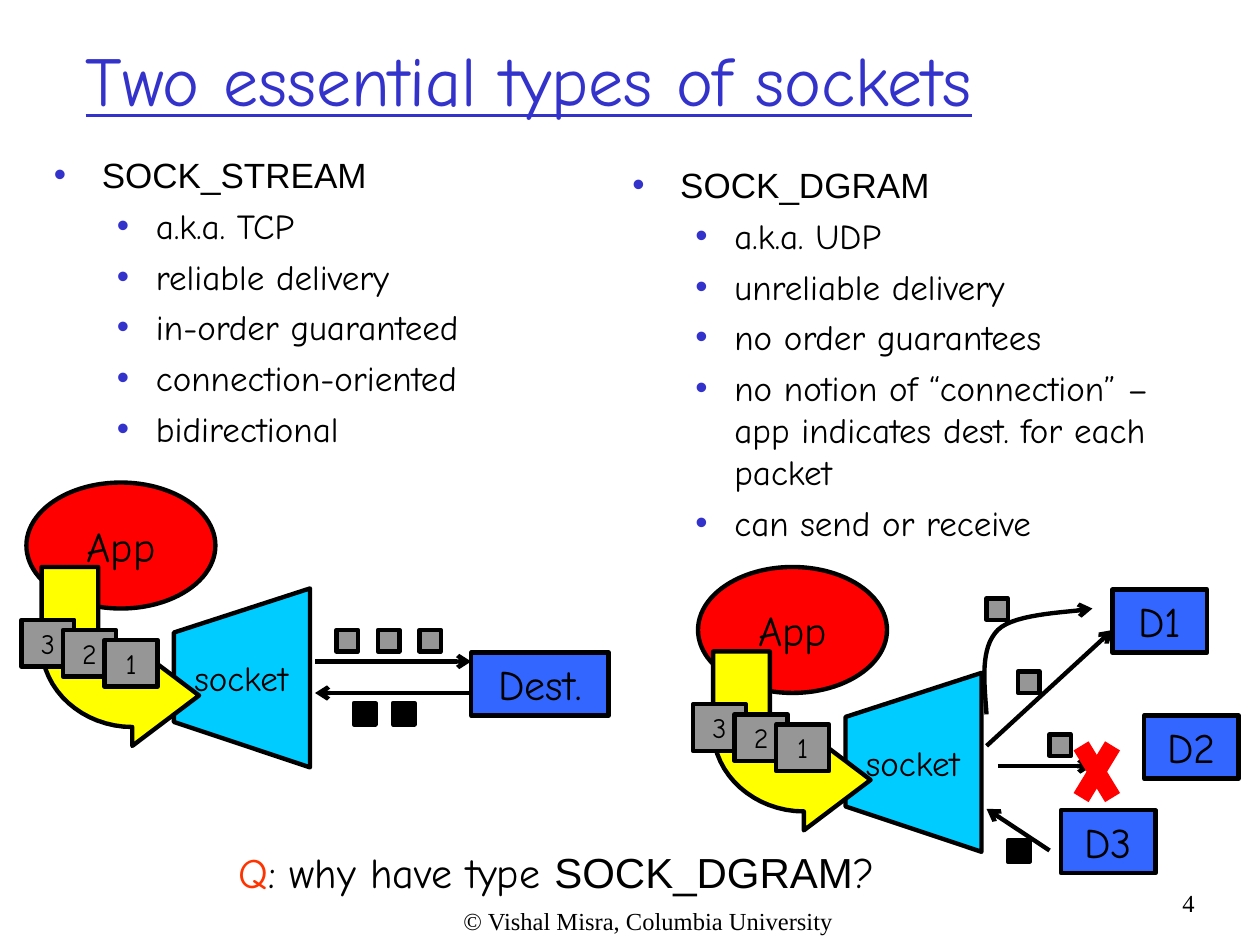
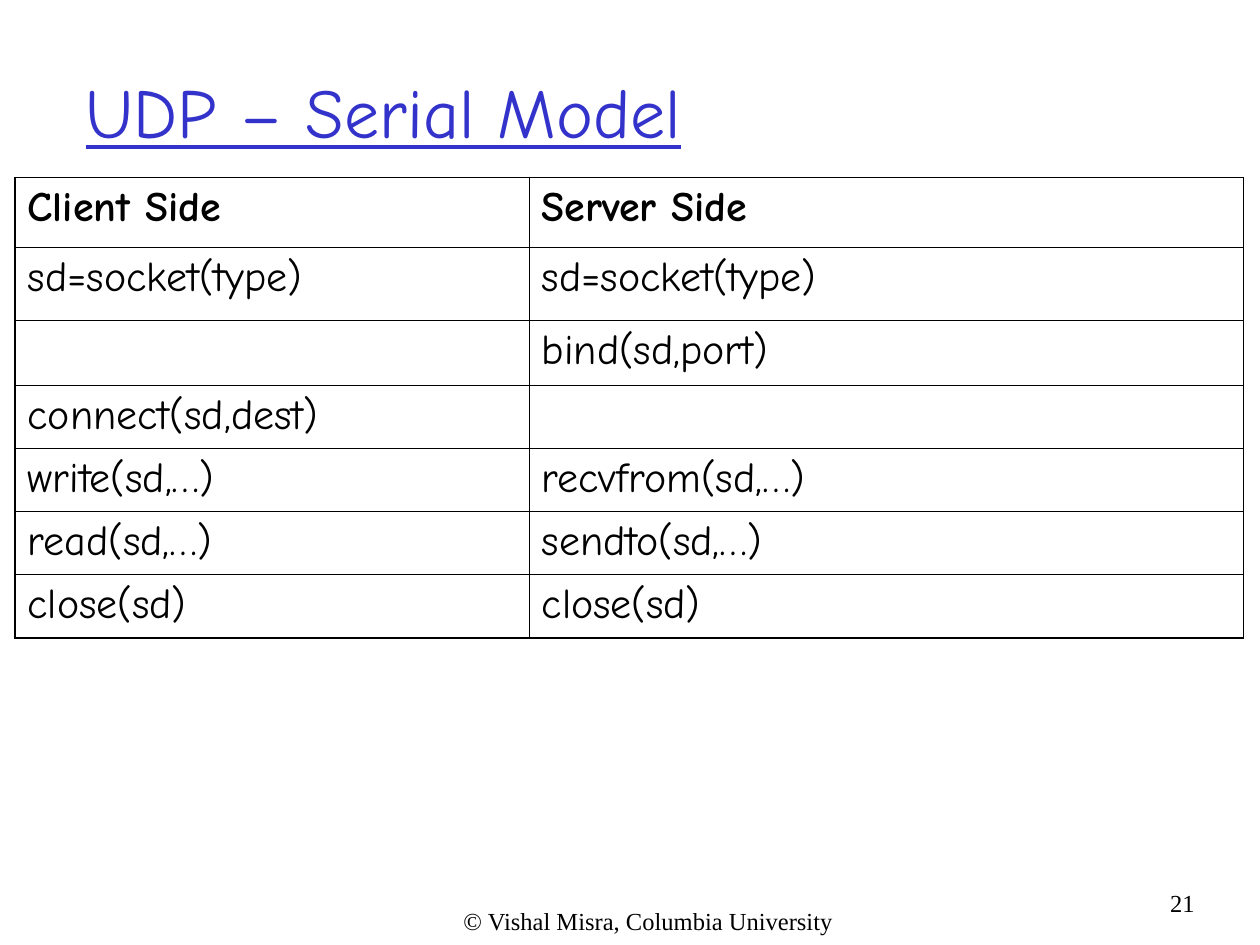
from lxml.etree import SubElement
from pptx import Presentation
from pptx.dml.color import RGBColor
from pptx.enum.shapes import MSO_CONNECTOR, MSO_SHAPE
from pptx.enum.text import MSO_ANCHOR, PP_ALIGN
from pptx.oxml.ns import qn
from pptx.util import Inches, Pt

COLORS = {
    "ink": "000000", "accent": "3333CC", "question": "FF3300", "app": "FF0000",
    "socket": "00CCFF", "flow": "FFFF00", "packet": "969696", "dest": "3366FF",
}
HAND, SANS, SERIF = "Comic Neue", "Arial", "Times New Roman"
LINE = 2.5
PACKET = 0.17
FOOTER = "© Vishal Misra, Columbia University"


def rgb(name):
    return RGBColor.from_string(COLORS[name])


def box(left, top, width, height):
    return [Inches(value) for value in (left, top, width, height)]


def bezier(start, curve, steps=16):
    """Points of a cubic curve after its start; curve is x1, y1, x2, y2, x, y."""
    stops = [start, curve[:2], curve[2:4], curve[4:]]
    for step in range(1, steps + 1):
        t = step / steps
        weights = ((1 - t) ** 3, 3 * t * (1 - t) ** 2, 3 * t * t * (1 - t), t ** 3)
        yield tuple(sum(w * stop[axis] for w, stop in zip(weights, stops)) for axis in (0, 1))


class Deck:
    def __init__(self):
        self.prs = Presentation()
        self.prs.slide_width, self.prs.slide_height = Inches(10), Inches(7.5)
        self.slide = None

    # Frame shared by all slides
    def new_slide(self, heading, heading_top, number):
        self.slide = self.prs.slides.add_slide(self.prs.slide_layouts[5])
        title = self.slide.shapes.title
        title.left, title.top, title.width, title.height = box(0.58, heading_top, 8.5, 1.25)
        title.text_frame.text = heading
        title.text_frame.vertical_anchor = MSO_ANCHOR.MIDDLE
        self.format(title.text_frame.paragraphs[0], 40, color="accent", align=PP_ALIGN.LEFT)
        title.text_frame.paragraphs[0].runs[0].font.underline = True
        self.text(FOOTER, (3.58, 7.14, 3.15, 0.34), 14, SERIF, PP_ALIGN.LEFT, wrap=False)
        self.text(number, (9.08, 7, 0.5, 0.5), 14, SERIF, PP_ALIGN.RIGHT)

    # Text
    def format(self, paragraph, size, font=HAND, color="ink", align=PP_ALIGN.CENTER):
        paragraph.alignment = align
        for run in paragraph.runs:
            run.font.size, run.font.name = Pt(size), font
            run.font.color.rgb = rgb(color)

    def text(self, words, place, size, font=HAND, align=PP_ALIGN.CENTER,
             anchor=MSO_ANCHOR.TOP, wrap=True):
        frame = self.slide.shapes.add_textbox(*box(*place)).text_frame
        frame.word_wrap, frame.vertical_anchor = wrap, anchor
        frame.text = words
        self.format(frame.paragraphs[0], size, font, align=align)
        return frame

    def bullets(self, heading, points, place):
        frame = self.text("\n".join([heading, *points]), place, 20, SANS, PP_ALIGN.LEFT)
        for index, paragraph in enumerate(frame.paragraphs):
            if index:
                paragraph.level = 1
                self.format(paragraph, 20, align=PP_ALIGN.LEFT)
            paragraph.space_before = Pt(5)
            margin, hanging = (0.81, 0.31) if index else (0.38, 0.38)
            props = paragraph._p.get_or_add_pPr()
            props.set("marL", str(Inches(margin)))
            props.set("indent", str(-Inches(hanging)))
            bullet_color = SubElement(props, qn("a:buClr"))
            SubElement(bullet_color, qn("a:srgbClr"), val=COLORS["accent"])
            SubElement(props, qn("a:buFont"), typeface=SANS)
            SubElement(props, qn("a:buChar"), char="•")

    # Shapes
    def paint(self, shape, fill):
        shape.shadow.inherit = False
        if fill:
            shape.fill.solid()
            shape.fill.fore_color.rgb = rgb(fill)
        else:
            shape.fill.background()
        shape.line.color.rgb = rgb("ink")
        shape.line.width = Pt(LINE)

    def shape(self, kind, place, fill, label="", size=24, anchor=MSO_ANCHOR.MIDDLE):
        shape = self.slide.shapes.add_shape(kind, *box(*place))
        self.paint(shape, fill)
        if label:
            shape.text_frame.text = label
            shape.text_frame.vertical_anchor = anchor
            self.format(shape.text_frame.paragraphs[0], size)

    def packet(self, left, top, fill="packet"):
        self.shape(MSO_SHAPE.RECTANGLE, (left, top, PACKET, PACKET), fill)

    def destination(self, label, left, top, width=0.75):
        self.shape(MSO_SHAPE.RECTANGLE, (left, top, width, 0.5), "dest", label)

    def outline(self, steps, fill=None, dx=0, dy=0):
        """Draw points (x, y) and curves (six numbers); closed when filled."""
        points = [steps[0]]
        for step in steps[1:]:
            points.extend([step] if len(step) == 2 else bezier(points[-1], step))
        places = [(Inches(x + dx), Inches(y + dy)) for x, y in points]
        builder = self.slide.shapes.build_freeform(*places[0])
        builder.add_line_segments(places[1:], close=bool(fill))
        shape = builder.convert_to_shape()
        self.paint(shape, fill)
        return shape

    def arrowhead(self, shape):
        SubElement(shape.line._get_or_add_ln(), qn("a:tailEnd"), type="arrow")

    def line(self, start, end, color="ink", width=LINE, arrow=True):
        ends = [Inches(value) for value in (*start, *end)]
        connector = self.slide.shapes.add_connector(MSO_CONNECTOR.STRAIGHT, *ends)
        connector.line.color.rgb = rgb(color)
        connector.line.width = Pt(width)
        if arrow:
            self.arrowhead(connector)
        SubElement(connector._element.spPr, qn("a:effectLst"))

    # Application feeding packets into a socket
    def app_and_socket(self, dx=0, dy=0):
        self.shape(MSO_SHAPE.OVAL, (0.21 + dx, 3.83 + dy, 1.5, 1), "app")
        self.text("App", (0.17 + dx, 4.08 + dy, 1.58, 0.5), 24)
        self.outline([(2.46, 4.67), (1.38, 5.02), (1.38, 5.73), (2.46, 6.09)],
                     "socket", dx, dy)
        self.text("socket", (1 + dx, 5.16 + dy, 1.83, 0.44), 20, anchor=MSO_ANCHOR.MIDDLE)
        self.outline([(1.58, 5.52), (1.05, 5.92), (1.05, 5.77),
                      (0.66, 5.77, 0.33, 5.48, 0.33, 5.12), (0.33, 4.5), (0.78, 4.5),
                      (0.78, 5.12), (0.78, 5.2, 0.9, 5.27, 1.05, 5.27), (1.05, 5.12)],
                     "flow", dx, dy)
        for index, label in enumerate("321"):
            place = (0.17 + index * 0.33 + dx, 4.92 + index * 0.08 + dy, 0.42, 0.37)
            self.shape(MSO_SHAPE.RECTANGLE, place, "packet", label, 16, MSO_ANCHOR.TOP)

    # Table
    def table(self, rows, place, widths, heights):
        table = self.slide.shapes.add_table(len(rows), len(widths), *box(*place)).table
        table.first_row = table.horz_banding = False
        for column, width in zip(table.columns, widths):
            column.width = Inches(width)
        for r, (row, height) in enumerate(zip(rows, heights)):
            table.rows[r].height = Inches(height)
            for c, words in enumerate(row):
                cell = table.cell(r, c)
                cell.text = words
                cell.margin_left = cell.margin_right = Inches(0.1)
                cell.margin_top = cell.margin_bottom = Inches(0.05)
                paragraph = cell.text_frame.paragraphs[0]
                self.format(paragraph, 24, align=PP_ALIGN.LEFT)
                for run in paragraph.runs:
                    run.font.bold = r == 0
                self.borders(cell, {"L": c == 0, "R": c == len(widths) - 1,
                                    "T": r == 0, "B": r == len(rows) - 1})
                cell.fill.background()

    def borders(self, cell, outer_sides):
        props = cell._tc.get_or_add_tcPr()
        for side, outer in outer_sides.items():
            edge = SubElement(props, qn(f"a:ln{side}"), w=str(Pt(1.08 if outer else 0.45)))
            fill = SubElement(edge, qn("a:solidFill"))
            SubElement(fill, qn("a:srgbClr"), val=COLORS["ink"])


def socket_types(deck):
    deck.new_slide("Two essential types of sockets", 0, "4")
    deck.bullets("SOCK_STREAM",
                 ["a.k.a. TCP", "reliable delivery", "in-order guaranteed",
                  "connection-oriented", "bidirectional"],
                 (0.33, 1.17, 4.17, 5.08))
    deck.bullets("SOCK_DGRAM",
                 ["a.k.a. UDP", "unreliable delivery", "no order guarantees",
                  "no notion of “connection” – app indicates dest. for each packet",
                  "can send or receive"],
                 (4.92, 1.25, 4.75, 5.08))

    # Stream: one destination, both directions
    deck.app_and_socket()
    for index in range(3):
        deck.packet(2.67 + index * 0.33, 5)
    deck.line((2.5, 5.25), (3.74, 5.25))
    deck.destination("Dest.", 3.74, 5.18, 1.09)
    deck.line((3.74, 5.5), (2.5, 5.5))
    for index in range(2):
        deck.packet(2.81 + index * 0.31, 5.58, "ink")

    # Datagram: several destinations, one packet lost
    deck.app_and_socket(5.33, 0.67)
    for left, top in ((7.83, 4.75), (8.08, 5.33), (8.33, 5.83)):
        deck.packet(left, top)
    deck.line((7.83, 5.92), (8.83, 5))
    for label, left, top in (("D1", 8.83, 4.68), ("D3", 8.42, 6.43), ("D2", 9.08, 5.68)):
        deck.destination(label, left, top)
    detour = deck.outline([(7.83, 5.67), (7.81, 5.4, 7.78, 5.14, 7.92, 5),
                           (8.06, 4.86, 8.54, 4.86, 8.67, 4.83)])
    deck.arrowhead(detour)
    deck.line((7.92, 6.08), (8.67, 6.08))
    for start, end in ((8.58, 8.83), (8.83, 8.58)):
        deck.line((start, 5.92), (end, 6.33), "app", 10, arrow=False)
    deck.line((8.33, 6.75), (7.83, 6.42))
    deck.packet(8, 6.67, "ink")

    # Closing question
    question = deck.text("Q", (1.58, 6.67, 5.67, 0.5), 24).paragraphs[0]
    for words in (": why have type ", "SOCK_DGRAM", "?"):
        question.add_run().text = words
    deck.format(question, 24)
    question.runs[0].font.color.rgb = rgb("question")
    question.runs[2].font.name = SANS


def serial_model(deck):
    deck.new_slide("UDP – Serial Model", 0.25, "21")
    calls = [
        ("Client Side", "Server Side"),
        ("sd=socket(type)", "sd=socket(type)"),
        ("", "bind(sd,port)"),
        ("connect(sd,dest)", ""),
        ("write(sd,…)", "recvfrom(sd,…)"),
        ("read(sd,…)", "sendto(sd,…)"),
        ("close(sd)", "close(sd)"),
    ]
    deck.table(calls, (0.12, 1.41, 9.75, 3.65), (4.08, 5.67),
               (0.55, 0.58, 0.52, 0.5, 0.5, 0.5, 0.5))


def main():
    deck = Deck()
    socket_types(deck)
    serial_model(deck)
    deck.prs.save("out.pptx")


if __name__ == "__main__":
    main()
